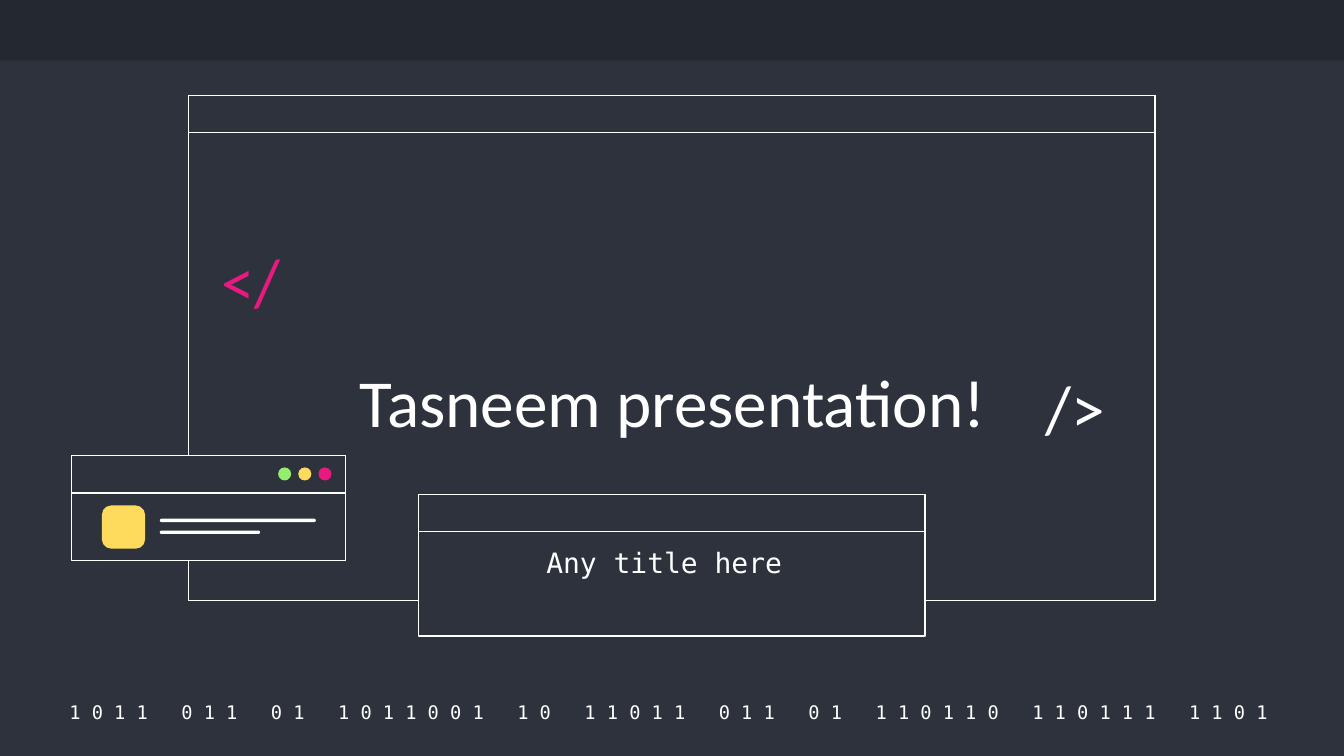
"""Build a dark, code-themed title slide with outlined browser windows."""
from pptx import Presentation
from pptx.dml.color import RGBColor
from pptx.enum.shapes import MSO_SHAPE as SHAPE
from pptx.enum.text import MSO_ANCHOR as ANCHOR, MSO_AUTO_SIZE as AUTO, PP_ALIGN as ALIGN
from pptx.util import Pt

DARK = RGBColor(0x2D, 0x32, 0x3C)
BAND = RGBColor(0x24, 0x28, 0x30)
WHITE = RGBColor(0xFF, 0xFF, 0xFF)
PINK = RGBColor(0xE8, 0x19, 0x81)
YELLOW = RGBColor(0xFF, 0xDB, 0x5D)
GREEN = RGBColor(0x94, 0xEE, 0x6B)
SANS, MONO = "Calibri", "DejaVu Sans Mono"

TITLE = "Tasneem presentation!"
TITLE_BOX = (162.7, 101.5, 395.3, 142.6)
SUBTITLE = "Any title here "
SUBTITLE_BOX = (240.5, 285.1, 239.8, 56.2)
TAGS = [("</", PINK, (111.6, 128.9, 55.4, 47.5)), ("/>", WHITE, (553, 196.6, 55.4, 47.5))]
BITS = "1011 011 01 1011001 10 11011 011 01 110110 110111 1101".split()
BITS_BOX = (27.4, 374.4, 667.4, 14.4)
BITS_GAP = 12

MAIN_WINDOW = (101, 51.2, 517.7, 270.7)
SUBTITLE_WINDOW = (224.1, 264.8, 271.5, 75.9)
CARD = (38.2, 244.1, 146.8, 56.4)
BAR_H = 20
ICON = (54.6, 270.8, 23.2, 23.2)
LINES = [(85.6, 277.9, 83.6, 1.8), (85.6, 284.3, 53.7, 1.8)]
DOTS = [GREEN, YELLOW, PINK]
DOT_LEFT, DOT_TOP, DOT_SIZE, DOT_STEP = 149, 250.4, 7, 10.8


def add_shape(parent, kind, box, fill, line=None):
    sp = parent.shapes.add_shape(kind, *map(Pt, box))
    sp.shadow.inherit = False
    sp.fill.solid()
    sp.fill.fore_color.rgb = fill
    if line is None:
        sp.line.fill.background()
    else:
        sp.line.color.rgb = line
        sp.line.width = Pt(0.75)
    return sp


def add_window(sl, box):
    left, top, width, height = box
    group = sl.shapes.add_group_shape()
    for h in (height, BAR_H):
        add_shape(group, SHAPE.RECTANGLE, (left, top, width, h), DARK, WHITE)
    return group


def add_run(p, text, size, font, color):
    r = p.add_run()
    r.text = text
    r.font.size = Pt(size)
    r.font.name = font
    r.font.color.rgb = color
    return r


def set_frame(sp, anchor, align, spacing=1.0, wrap=True):
    tf = sp.text_frame
    tf.word_wrap = wrap
    tf.auto_size = AUTO.NONE
    tf.vertical_anchor = anchor
    tf.margin_left = tf.margin_right = tf.margin_top = tf.margin_bottom = Pt(7.2)
    p = tf.paragraphs[0]
    p.alignment = align
    p.line_spacing = spacing
    return p


def add_text_box(sl, box):
    return sl.shapes.add_textbox(*map(Pt, box))


def add_bits(sl):
    p = set_frame(add_text_box(sl, BITS_BOX), ANCHOR.MIDDLE, ALIGN.CENTER, wrap=False)
    for i, group in enumerate(BITS):
        if i:
            gap = add_run(p, " ", 10, MONO, WHITE)
            gap.font._element.set("spc", str(BITS_GAP * 100))
        add_run(p, " ".join(group), 10, MONO, WHITE)
    add_run(p, " ", 10, MONO, WHITE)


def add_card(sl):
    card = add_window(sl, CARD)
    icon = add_shape(card, SHAPE.ROUNDED_RECTANGLE, ICON, YELLOW)
    icon.adjustments[0] = 0.22
    for box in LINES:
        line = add_shape(card, SHAPE.ROUNDED_RECTANGLE, box, WHITE)
        line.adjustments[0] = 0.5
    for i, color in enumerate(DOTS):
        box = (DOT_LEFT + i * DOT_STEP, DOT_TOP, DOT_SIZE, DOT_SIZE)
        add_shape(card, SHAPE.OVAL, box, color)


def add_title(sl):
    title = sl.shapes.title
    title.left, title.top, title.width, title.height = map(Pt, TITLE_BOX)
    p = set_frame(title, ANCHOR.BOTTOM, ALIGN.CENTER, 0.9)
    add_run(p, TITLE, 36, SANS, WHITE)
    sl.shapes._spTree.append(title._element)


def main():
    prs = Presentation()
    prs.slide_width, prs.slide_height = Pt(720), Pt(405)
    sl = prs.slides.add_slide(prs.slide_layouts[5])
    sl.background.fill.solid()
    sl.background.fill.fore_color.rgb = DARK

    add_shape(sl, SHAPE.RECTANGLE, (0, 0, 720, 32.4), BAND)
    add_bits(sl)
    for box in (MAIN_WINDOW, SUBTITLE_WINDOW):
        add_window(sl, box)
    for text, color, box in TAGS:
        p = set_frame(add_text_box(sl, box), ANCHOR.MIDDLE, ALIGN.LEFT, 0.9)
        add_run(p, text, 36, SANS, color)
    add_title(sl)
    p = set_frame(add_text_box(sl, SUBTITLE_BOX), ANCHOR.TOP, ALIGN.CENTER)
    add_run(p, SUBTITLE, 15, MONO, WHITE)
    add_card(sl)
    prs.save("out.pptx")


if __name__ == "__main__":
    main()
